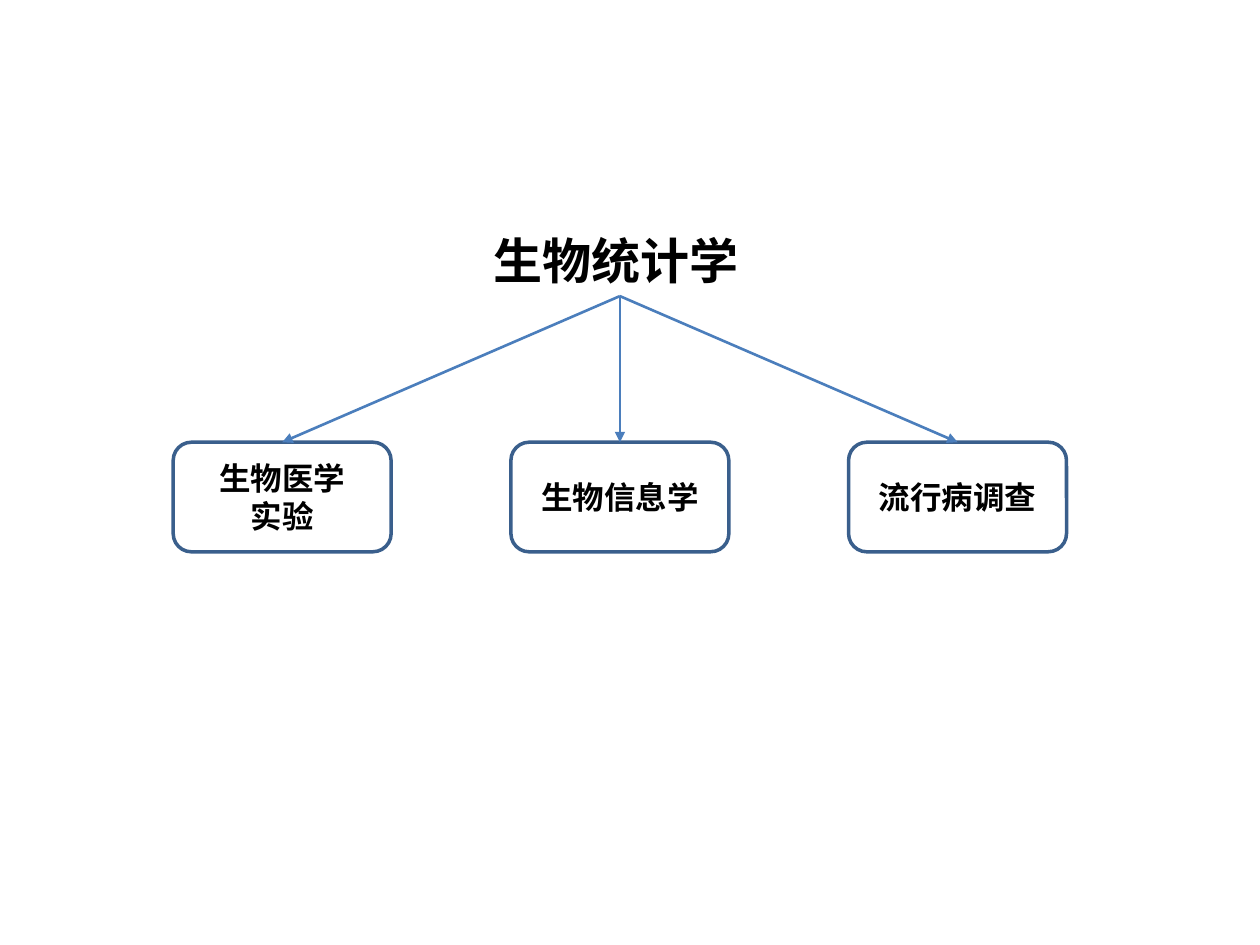
from lxml import etree
from pptx import Presentation
from pptx.dml.color import RGBColor
from pptx.enum.shapes import MSO_CONNECTOR, MSO_SHAPE
from pptx.enum.text import MSO_ANCHOR, MSO_AUTO_SIZE, PP_ALIGN
from pptx.oxml.ns import qn
from pptx.util import Inches, Pt

STRAIGHT = MSO_CONNECTOR.STRAIGHT
ROUNDED = MSO_SHAPE.ROUNDED_RECTANGLE
TOP, MIDDLE = MSO_ANCHOR.TOP, MSO_ANCHOR.MIDDLE
LEFT, CENTER = PP_ALIGN.LEFT, PP_ALIGN.CENTER
RESIZE = MSO_AUTO_SIZE.SHAPE_TO_FIT_TEXT
TITLE_ONLY = 5


def color(hex_string):
    return RGBColor.from_string(hex_string)


def write(frame, text, size=18, font="Calibri", ink="000000", bold=True,
          align=CENTER, anchor=MIDDLE):
    """Fill a text frame, one paragraph for each line of text."""
    frame.word_wrap = True
    frame.vertical_anchor = anchor
    for index, line in enumerate(text.split("\n")):
        para = frame.paragraphs[0] if index == 0 else frame.add_paragraph()
        para.alignment = align
        span = para.add_run()
        span.text = line
        span.font.size = Pt(size)
        span.font.name = font
        span.font.bold = bold
        span.font.color.rgb = color(ink)


class Diagram:
    border = "3A5F8C"
    arrow_ink = "4B7EBC"

    def __init__(self, deck):
        self.page = deck.slides.add_slide(deck.slide_layouts[TITLE_ONLY])

    def title(self, text, left, top, width, height):
        title = self.page.shapes.title
        title.left, title.top = Inches(left), Inches(top)
        title.width, title.height = Inches(width), Inches(height)
        write(title.text_frame, text, size=28, align=LEFT, anchor=TOP)
        title.text_frame.auto_size = RESIZE

    def box(self, text, left, top, width, height):
        box = self.page.shapes.add_shape(
            ROUNDED, Inches(left), Inches(top), Inches(width), Inches(height))
        box.shadow.inherit = False
        box.fill.background()
        box.line.color.rgb = color(self.border)
        box.line.width = Pt(2)
        write(box.text_frame, text)

    def arrow(self, start_x, start_y, end_x, end_y):
        arrow = self.page.shapes.add_connector(
            STRAIGHT, Inches(start_x), Inches(start_y),
            Inches(end_x), Inches(end_y))
        arrow.line.color.rgb = color(self.arrow_ink)
        arrow.line.width = Pt(1.5)
        line = arrow.line._get_or_add_ln()
        etree.SubElement(line, qn("a:tailEnd"), type="triangle")
        etree.SubElement(arrow._element.spPr, qn("a:effectLst"))


deck = Presentation()
deck.slide_width, deck.slide_height = Inches(10), Inches(7.5)
diagram = Diagram(deck)

# Root of the tree
diagram.title("生物统计学", 3.82, 1.78, 2.2, 0.57)

# Branches, evenly spaced around the root
ROOT_X, ROOT_Y = 4.92, 2.35
BOX_TOP, BOX_WIDTH, BOX_HEIGHT = 3.51, 1.73, 0.87
PITCH = 2.68
branches = ["生物医学\n实验", "生物信息学", "流行病调查"]
for index, branch in enumerate(branches):
    center = ROOT_X + (index - 1) * PITCH
    diagram.box(branch, center - BOX_WIDTH / 2, BOX_TOP, BOX_WIDTH, BOX_HEIGHT)
    diagram.arrow(ROOT_X, ROOT_Y, center, BOX_TOP)

deck.save("out.pptx")
